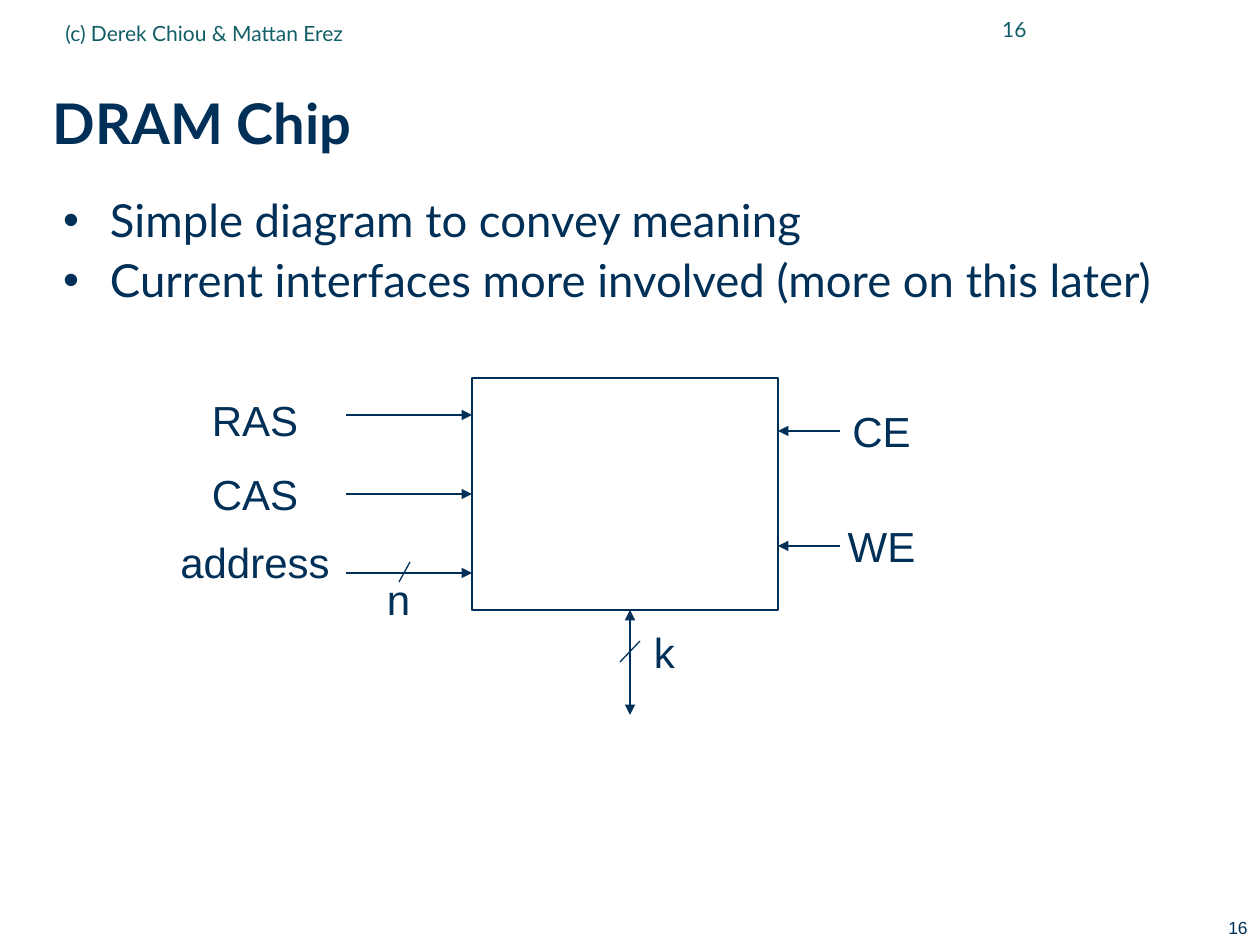
from lxml.etree import SubElement as Sub
from pptx import Presentation
from pptx.dml.color import RGBColor as RGB
from pptx.enum.shapes import MSO_CONNECTOR as Conn, MSO_SHAPE as Shape
from pptx.enum.text import MSO_ANCHOR as Anchor, MSO_AUTO_SIZE as Auto, PP_ALIGN as Align
from pptx.oxml.ns import qn
from pptx.util import Emu, Pt

INK = {"navy": "003057", "teal": "115E67"}
SCALE = 914400 / 126


def px(n):
    return Emu(round(n * SCALE))


def place(shape, box):
    shape.left, shape.top, shape.width, shape.height = map(px, box)


def style(par, size, face, ink="navy", bold=False, align=Align.LEFT):
    par.alignment = align
    for run in par.runs:
        font = run.font
        font.size, font.name, font.bold = Pt(size), face, bold
        font.color.rgb = RGB.from_string(INK[ink])


def clear_insets(frame):
    frame.margin_left = frame.margin_top = 0
    frame.margin_right = frame.margin_bottom = 0


def add_text(slide, box, text, size, face, ink="navy", align=Align.LEFT,
             anchor=Anchor.TOP, wrap=True):
    shape = slide.shapes.add_textbox(*map(px, box))
    frame = shape.text_frame
    frame.text = text
    frame.word_wrap = wrap
    frame.vertical_anchor = anchor
    for par in frame.paragraphs:
        style(par, size, face, ink, align=align)
    return frame


def add_title(slide, box, text):
    shape = slide.shapes.title
    place(shape, box)
    frame = shape.text_frame
    frame.text = text
    frame.auto_size = Auto.NONE
    frame.vertical_anchor = Anchor.MIDDLE
    clear_insets(frame)
    par = frame.paragraphs[0]
    par.line_spacing = 0.99
    style(par, 32, "Lato", bold=True)


def add_points(slide, box, points):
    frame = add_text(slide, box, "\n".join(points), 26, "Lato")
    clear_insets(frame)
    for i, par in enumerate(frame.paragraphs):
        par.line_spacing = 0.9
        par.space_before = Pt(6.5 if i else 0)
        props = par._p.get_or_add_pPr()
        props.set("marL", str(px(47)))
        props.set("indent", str(-px(47)))
        color = Sub(props, qn("a:buClr"))
        Sub(color, qn("a:srgbClr"), val=INK["navy"])
        Sub(props, qn("a:buFont"), typeface="Arial")
        Sub(props, qn("a:buChar"), char="•")


def add_line(slide, start, end, head=False, tail=False):
    line = slide.shapes.add_connector(Conn.STRAIGHT, *map(px, start + end))
    line.line.color.rgb = RGB.from_string(INK["navy"])
    line.line.width = Pt(0.75)
    ln = line.line._get_or_add_ln()
    for tag, shown in (("a:headEnd", head), ("a:tailEnd", tail)):
        if shown:
            Sub(ln, qn(tag), type="triangle")
    Sub(line._element.spPr, qn("a:effectLst"))
    return line


def add_label(slide, box, text):
    frame = add_text(slide, box, text, 24, "Arial", align=Align.CENTER, wrap=False)
    frame.auto_size = Auto.SHAPE_TO_FIT_TEXT


def add_chip(slide, box):
    """Draw the chip with its pins and their labels around the box."""
    left, top, width, height = box
    right, low = left + width, top + height
    chip = slide.shapes.add_shape(Shape.RECTANGLE, *map(px, box))
    chip.shadow.inherit = False
    chip.fill.background()
    chip.line.color.rgb = RGB.from_string(INK["navy"])
    chip.line.width = Pt(0.75)

    mid = height // 2
    for y, name, x, label_y, wide in (
        (mid - 79, "RAS", -275, 10, 116),
        (mid, "CAS", -275, 84, 116),
        (mid + 79, "address", -307, 152, 180),
    ):
        line = add_line(slide, (left - 126, top + y), (left, top + y), tail=True)
        if y == mid:
            line.end_connect(chip, 1)
        add_label(slide, (left + x, top + label_y, wide, 63), name)

    for y, name in ((53, "CE"), (168, "WE")):
        add_line(slide, (right + 62, top + y), (right, top + y), tail=True)
        add_label(slide, (right + 55, top + y - 32, 97, 63), name)

    add_line(slide, (left - 62, top + 184), (left - 73, top + 204))
    add_label(slide, (left - 100, top + 189, 53, 63), "n")

    bus = left + 158
    add_line(slide, (bus, low), (bus, low + 105), head=True, tail=True)
    add_line(slide, (bus + 10, low + 31), (bus - 10, low + 52))
    add_label(slide, (bus + 9, low + 10, 51, 63), "k")


def add_edges(slide, box):
    """Put the credit and page numbers along the top and bottom edges."""
    left, top, width, height = box
    add_text(slide, (left + 53, top + 4, 714, 58), "(c) Derek Chiou & Mattan Erez",
             12, "Lato", "teal", anchor=Anchor.MIDDLE)
    add_text(slide, (left + 924, top - 2, 115, 63), "16", 12, "Lato", "teal",
             Align.RIGHT, Anchor.MIDDLE)
    add_text(slide, (left + width - 294, top + height - 34, 294, 34), "16",
             10, "Arial", align=Align.RIGHT)


def main():
    deck = Presentation()
    deck.slide_width, deck.slide_height = px(1260), px(945)
    slide = deck.slides.add_slide(deck.slide_layouts[5])
    add_title(slide, (53, 63, 1186, 123), "DRAM Chip")
    add_points(slide, (63, 198, 1176, 745), [
        "Simple diagram to convey meaning",
        "Current interfaces more involved (more on this later)",
    ])
    add_edges(slide, (0, 0, 1260, 945))
    add_chip(slide, (472, 378, 306, 232))
    deck.save("out.pptx")


if __name__ == "__main__":
    main()
